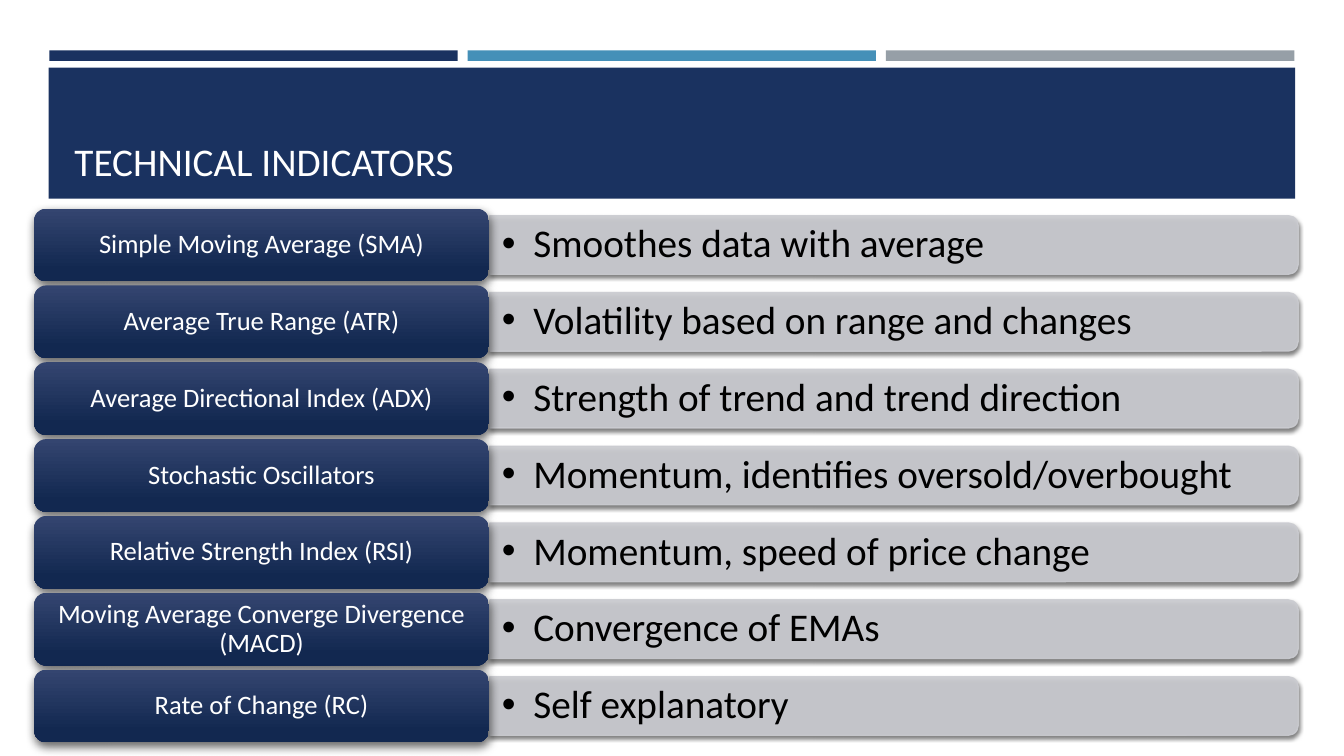
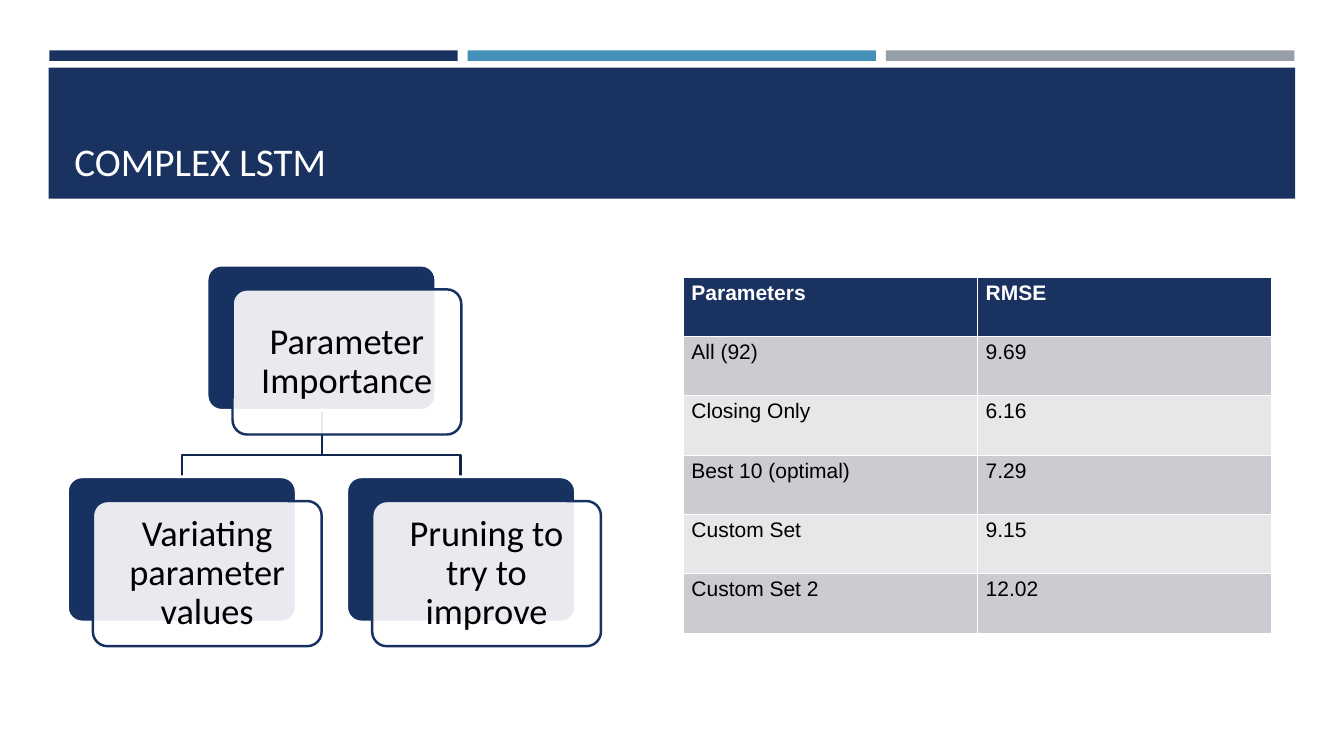
from lxml import etree
from pptx import Presentation
from pptx.dml.color import RGBColor
from pptx.enum import shapes, text
from pptx.oxml import ns
from pptx.util import Pt

NAVY = RGBColor(0x1A, 0x32, 0x60)
CARD_NAVY = RGBColor(0x17, 0x31, 0x60)
LINE_NAVY = RGBColor(0x11, 0x26, 0x4C)
GRADIENT_TOP = RGBColor(0x34, 0x45, 0x70)
GRADIENT_BOTTOM = RGBColor(0x12, 0x28, 0x50)
BLUE = RGBColor(0x45, 0x90, 0xB8)
GRAY = RGBColor(0x96, 0x9F, 0xA7)
SILVER = RGBColor(0xCB, 0xCC, 0xD1)
PALE = RGBColor(0xE7, 0xE7, 0xE9)
WHITE = RGBColor(0xFF, 0xFF, 0xFF)
BLACK = RGBColor(0, 0, 0)

PRESET = shapes.MSO_SHAPE
LEFT, CENTER = text.PP_ALIGN.LEFT, text.PP_ALIGN.CENTER
MIDDLE, BOTTOM = text.MSO_ANCHOR.MIDDLE, text.MSO_ANCHOR.BOTTOM

INDICATORS = [
    ("Simple Moving Average (SMA)", "Smoothes data with average"),
    ("Average True Range (ATR)", "Volatility based on range and changes"),
    ("Average Directional Index (ADX)", "Strength of trend and trend direction"),
    ("Stochastic Oscillators", "Momentum, identifies oversold/overbought"),
    ("Relative Strength Index (RSI)", "Momentum, speed of price change"),
    ("Moving Average Converge Divergence (MACD)", "Convergence of EMAs"),
    ("Rate of Change (RC)", "Self explanatory"),
]
RESULTS = [
    ("Parameters", "RMSE"),
    ("All (92)", "9.69"),
    ("Closing Only", "6.16"),
    ("Best 10 (optimal)", "7.29"),
    ("Custom Set", "9.15"),
    ("Custom Set 2", "12.02"),
]

LABEL_LEFT, LABEL_TOP, LABEL_WIDTH, LABEL_HEIGHT = 24.4, 149, 324.8, 52
ROW_PITCH = 54.88
BAR_LEFT, BAR_WIDTH, BAR_HEIGHT = 349.9, 577.4, 41.8

CARD_WIDTH, CARD_HEIGHT = 163.4, 103.7
CARD_SHIFT_X, CARD_SHIFT_Y = 18.2, 17.3
PARENT_TOP, CHILD_TOP = 189.4, 340.6
CHILD_LEFTS = (48.2, 247.7)


def set_attributes(target, values):
    for name, value in values.items():
        setattr(target, name, value)


def box(*lengths):
    return [Pt(length) for length in lengths]


def write(frame, words, size, color, align=LEFT, anchor=MIDDLE, inset=(0, 0),
          spacing=0.9, font="Calibri", bold=False):
    """Put one formatted paragraph in a text frame or table cell."""
    across, down = box(*inset)
    set_attributes(frame, {
        "margin_left": across, "margin_right": across,
        "margin_top": down, "margin_bottom": down,
        "vertical_anchor": anchor, "word_wrap": True,
    })
    paragraph = frame.paragraphs[0]
    set_attributes(paragraph, {"alignment": align, "line_spacing": spacing})
    run = paragraph.add_run()
    run.text = words
    set_attributes(run.font, {"name": font, "size": Pt(size), "bold": bold})
    run.font.color.rgb = color
    return paragraph


def add_bullet(paragraph, indent):
    properties = paragraph._p.get_or_add_pPr()
    properties.set("marL", str(Pt(indent)))
    properties.set("indent", str(-Pt(indent)))
    etree.SubElement(properties, ns.qn("a:buFont"), typeface="Arial")
    etree.SubElement(properties, ns.qn("a:buChar"), char="•")


def set_opacity(shape, percent):
    """Apply an opacity to every solid colour the shape has so far."""
    for color in shape.element.spPr.iter(ns.qn("a:srgbClr")):
        etree.SubElement(color, ns.qn("a:alpha"), val=str(percent * 1000))


def add_shadow(shape, opacity, blur, distance, angle):
    effects = shape.element.spPr.find(ns.qn("a:effectLst"))
    shadow = etree.SubElement(
        effects, ns.qn("a:outerShdw"), blurRad=str(Pt(blur)), dist=str(Pt(distance)),
        dir=str(angle * 60000), algn="ctr", rotWithShape="0")
    color = etree.SubElement(shadow, ns.qn("a:srgbClr"), val="000000")
    etree.SubElement(color, ns.qn("a:alpha"), val=str(opacity * 1000))


def add_preset(slide, preset, bounds, fill=None, rounding=None):
    shape = slide.shapes.add_shape(preset, *box(*bounds))
    shape.shadow.inherit = False
    shape.line.fill.background()
    if fill is not None:
        shape.fill.solid()
        shape.fill.fore_color.rgb = fill
    if rounding is not None:
        shape.adjustments[0] = rounding
    return shape


def set_line(shape, color, width):
    shape.line.color.rgb = color
    shape.line.width = Pt(width)


def add_header(slide, layout):
    """Draw the bands and title panel, and move them to the shared layout."""
    parts = [add_preset(slide, PRESET.RECTANGLE, (35.2 + 298.8 * index, 36, 291.7, 7.5), color)
             for index, color in enumerate((NAVY, BLUE, GRAY))]
    parts.append(add_preset(slide, PRESET.RECTANGLE, (34.8, 48.4, 890.4, 93.6), NAVY))
    for part in reversed(parts):
        layout.shapes.element.insert(2, part.element)


def add_titled_slide(presentation, layout, title):
    slide = presentation.slides.add_slide(layout)
    left, top, width, height = box(46, 55.4, 868.3, 80)
    set_attributes(slide.shapes.title,
                   {"left": left, "top": top, "width": width, "height": height})
    frame = slide.shapes.title.text_frame
    frame.auto_size = text.MSO_AUTO_SIZE.NONE
    write(frame, title, 28, WHITE, anchor=BOTTOM, inset=(7.2, 3.6))
    return slide


def add_indicator(slide, row, name, purpose):
    top = LABEL_TOP + row * ROW_PITCH
    middle = top + LABEL_HEIGHT / 2

    # Rotated a quarter turn, so the rounded top corners face right.
    bar = add_preset(slide, PRESET.ROUND_2_SAME_RECTANGLE,
                     (BAR_LEFT + (BAR_WIDTH - BAR_HEIGHT) / 2, middle - BAR_WIDTH / 2,
                      BAR_HEIGHT, BAR_WIDTH), SILVER, 0.167)
    bar.rotation = 90
    set_line(bar, SILVER, 1)
    set_opacity(bar, 90)
    add_shadow(bar, 55, 3, 2, 90)

    detail = slide.shapes.add_textbox(*box(BAR_LEFT, middle - 18.7, 575.3, 37.4))
    add_bullet(write(detail.text_frame, purpose, 28, BLACK, inset=(8.6, 4.3)), 22.5)

    label = add_preset(slide, PRESET.ROUNDED_RECTANGLE,
                       (LABEL_LEFT, top, LABEL_WIDTH, LABEL_HEIGHT), rounding=0.167)
    label.fill.gradient()
    label.fill.gradient_angle = 270
    stops = ((0, GRADIENT_TOP), (0.84, GRADIENT_BOTTOM))
    for stop, (position, color) in zip(label.fill.gradient_stops, stops):
        stop.position = position
        stop.color.rgb = color
    add_shadow(label, 60, 7, 3, 84)
    write(label.text_frame, name, 19, WHITE, CENTER, inset=(6, 2))


def add_card(slide, left, top, words):
    back = add_preset(slide, PRESET.ROUNDED_RECTANGLE,
                      (left, top, CARD_WIDTH, CARD_HEIGHT), CARD_NAVY, 0.1)
    set_line(back, WHITE, 2)
    front = add_preset(slide, PRESET.ROUNDED_RECTANGLE,
                       (left + CARD_SHIFT_X, top + CARD_SHIFT_Y, CARD_WIDTH, CARD_HEIGHT),
                       WHITE, 0.1)
    set_opacity(front, 90)
    set_line(front, CARD_NAVY, 1.75)
    write(front.text_frame, words, 26, BLACK, CENTER, inset=(8, 8))


def add_branch(slide, start_x, end_x):
    start_y, bend_y = PARENT_TOP + CARD_HEIGHT, 325.4
    builder = slide.shapes.build_freeform(start_x, start_y, scale=Pt(1))
    builder.add_line_segments(
        [(start_x, bend_y), (end_x, bend_y), (end_x, CHILD_TOP)], close=False)
    branch = builder.convert_to_shape()
    branch.shadow.inherit = False
    branch.fill.background()
    set_line(branch, LINE_NAVY, 1.75)


def add_hierarchy(slide, parent, children):
    parent_left = sum(CHILD_LEFTS) / 2
    # Branches join the centres of the back cards' outer outlines.
    center = (CARD_WIDTH + CARD_SHIFT_X) / 2 - 9.1
    for left in CHILD_LEFTS:
        add_branch(slide, parent_left + center, left + center)
    add_card(slide, parent_left, PARENT_TOP, parent)
    for left, words in zip(CHILD_LEFTS, children):
        add_card(slide, left, CHILD_TOP, words)


def add_results(slide, rows):
    frame = slide.shapes.add_table(len(rows), len(rows[0]), *box(487.8, 198, 420.4, 254.4))
    for row, values in enumerate(rows):
        heading = row == 0
        fill = NAVY if heading else SILVER if row % 2 else PALE
        for column, value in enumerate(values):
            cell = frame.table.cell(row, column)
            cell.fill.solid()
            cell.fill.fore_color.rgb = fill
            write_cell(cell, value, WHITE if heading else BLACK, heading)


def write_cell(cell, value, color, bold):
    across, down = box(6.1, 3)
    write(cell.text_frame, value, 15, color, anchor=None, spacing=1, font="Arial", bold=bold)
    set_attributes(cell, {"margin_left": across, "margin_right": across,
                          "margin_top": down, "margin_bottom": down,
                          "vertical_anchor": text.MSO_ANCHOR.TOP})


def main():
    presentation = Presentation()
    set_attributes(presentation, {"slide_width": Pt(960), "slide_height": Pt(540)})
    layout = presentation.slide_layouts.get_by_name("Title Only")

    indicators = add_titled_slide(presentation, layout, "TECHNICAL INDICATORS")
    add_header(indicators, layout)
    for row, (name, purpose) in enumerate(INDICATORS):
        add_indicator(indicators, row, name, purpose)

    lstm = add_titled_slide(presentation, layout, "COMPLEX LSTM")
    add_hierarchy(lstm, "Parameter Importance",
                  ("Variating parameter values", "Pruning to try to improve"))
    add_results(lstm, RESULTS)

    presentation.save("out.pptx")


if __name__ == "__main__":
    main()
